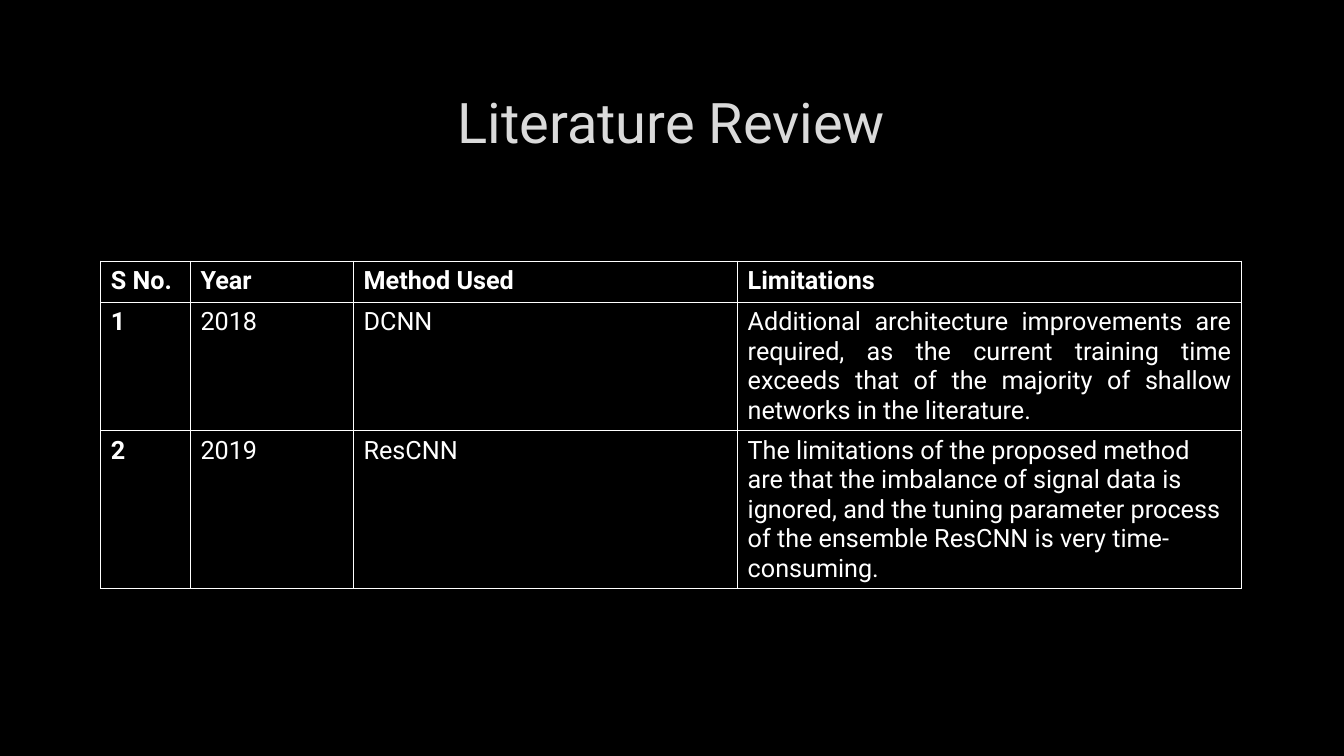
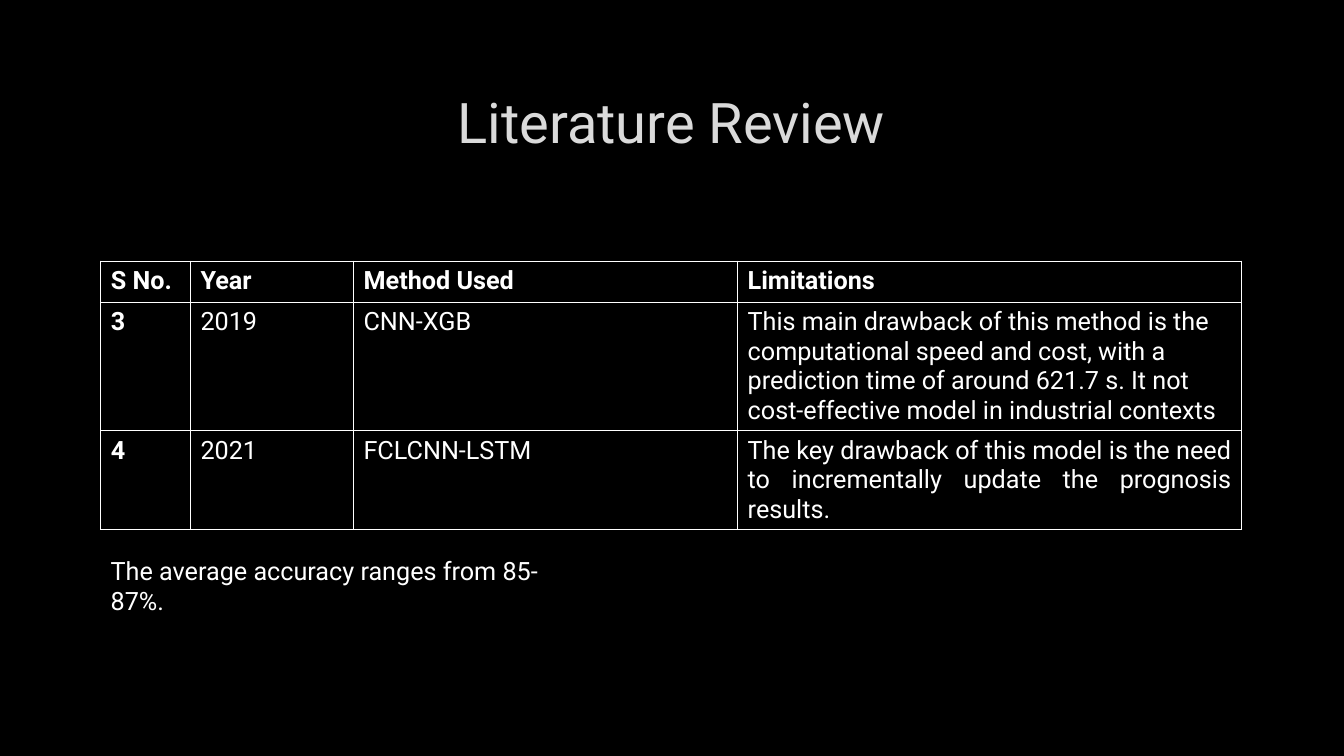
from lxml.etree import SubElement
from pptx import Presentation
from pptx.dml.color import RGBColor
from pptx.enum.text import MSO_ANCHOR, MSO_AUTO_SIZE, PP_ALIGN
from pptx.oxml.ns import qn
from pptx.util import Cm, Pt

BLACK = RGBColor(0x00, 0x00, 0x00)
WHITE = RGBColor(0xFF, 0xFF, 0xFF)
SILVER = RGBColor(0xDA, 0xDA, 0xDA)
FONT = "Roboto"
LEFT = Cm(2.54)
COLUMN_WIDTHS = [Cm(2.26), Cm(4.11), Cm(9.68), Cm(12.7)]
CONTENT_WIDTH = sum(COLUMN_WIDTHS)
ROW_HEIGHT = Cm(1.04)
TABLE_TOP = Cm(6.58)
HEADINGS = ("S No.", "Year", "Method Used", "Limitations")


def write_text(frame, text, size=18, color=WHITE, bold=False, align=PP_ALIGN.LEFT):
    para = frame.paragraphs[0]
    para.alignment = align
    span = para.add_run()
    span.text = text
    span.font.name = FONT
    span.font.size = Pt(size)
    span.font.bold = bold
    span.font.color.rgb = color


def draw_borders(cell, color=WHITE, width=Pt(1)):
    properties = cell._tc.get_or_add_tcPr()
    for side in ("lnL", "lnR", "lnT", "lnB"):
        line = SubElement(properties, qn(f"a:{side}"), w=str(width))
        fill = SubElement(line, qn("a:solidFill"))
        SubElement(fill, qn("a:srgbClr"), val=str(color))


class ReviewDeck:
    def __init__(self):
        self.deck = Presentation()
        self.deck.slide_width = Cm(33.87)
        self.deck.slide_height = Cm(19.05)
        background = self.deck.slide_master.background.fill
        background.solid()
        background.fore_color.rgb = BLACK
        self.page = None

    def add_page(self, title):
        self.page = self.deck.slides.add_slide(self.deck.slide_layouts[5])
        box = self.page.shapes.title
        box.left, box.top = LEFT, Cm(1.7)
        box.width, box.height = CONTENT_WIDTH, Cm(2.69)
        box.text_frame.vertical_anchor = MSO_ANCHOR.MIDDLE
        write_text(box.text_frame, title, size=40, color=SILVER, align=PP_ALIGN.CENTER)

    def add_review_table(self, studies):
        rows = [(HEADINGS, PP_ALIGN.LEFT), *studies]
        table = self.page.shapes.add_table(
            len(rows), len(HEADINGS), LEFT, TABLE_TOP,
            CONTENT_WIDTH, ROW_HEIGHT * len(rows),
        ).table
        table.horz_banding = False
        table.first_row = False
        for column, width in zip(table.columns, COLUMN_WIDTHS):
            column.width = width
        for row_index, (texts, align) in enumerate(rows):
            for column_index, text in enumerate(texts):
                cell = table.cell(row_index, column_index)
                draw_borders(cell)
                cell.fill.background()
                bold = row_index == 0 or column_index == 0
                write_text(cell.text_frame, text, bold=bold, align=align)

    def add_note(self, text, top):
        box = self.page.shapes.add_textbox(LEFT, top, Cm(12.09), Cm(1.02))
        box.text_frame.word_wrap = True
        box.text_frame.auto_size = MSO_AUTO_SIZE.SHAPE_TO_FIT_TEXT
        write_text(box.text_frame, text)


def main():
    review = ReviewDeck()

    review.add_page("Literature Review")
    review.add_review_table([
        (("1", "2018", "DCNN",
          "Additional architecture improvements are required, as the current "
          "training time exceeds that of the majority of shallow networks in "
          "the literature."), PP_ALIGN.JUSTIFY),
        (("2", "2019", "ResCNN",
          "The limitations of the proposed method are that the imbalance of "
          "signal data is ignored, and the tuning parameter process of the "
          "ensemble ResCNN is very time-consuming."), PP_ALIGN.LEFT),
    ])

    review.add_page("Literature Review")
    review.add_review_table([
        (("3", "2019", "CNN-XGB",
          "This main drawback of this method is the computational speed and "
          "cost, with a prediction time of around 621.7 s. It not "
          "cost-effective model in industrial contexts"), PP_ALIGN.LEFT),
        (("4", "2021", "FCLCNN-LSTM",
          "The key drawback of this model is the need to incrementally update "
          "the prognosis results."), PP_ALIGN.JUSTIFY),
    ])
    review.add_note("The average accuracy ranges from 85-87%.", Cm(13.87))

    review.deck.save("out.pptx")


if __name__ == "__main__":
    main()
